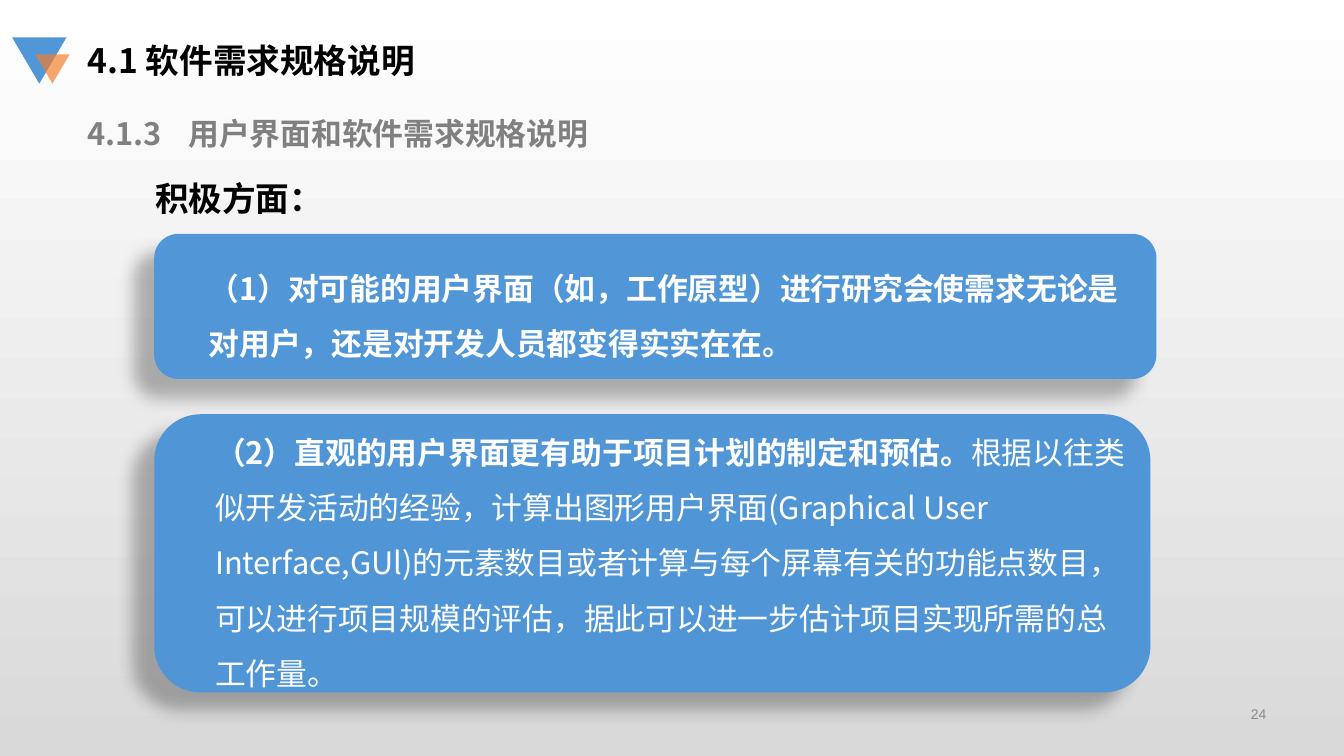
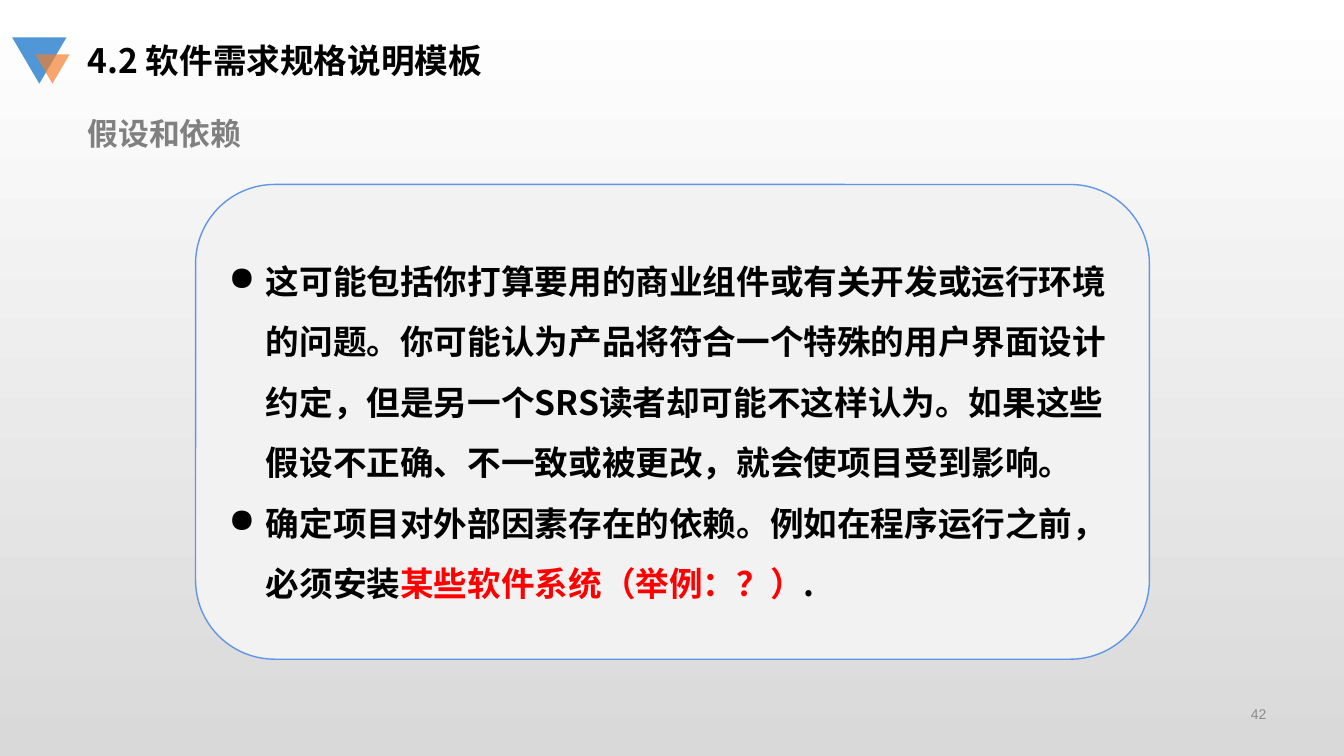
from lxml.etree import SubElement
from pptx import Presentation
from pptx.dml.color import RGBColor
from pptx.enum.lang import MSO_LANGUAGE_ID
from pptx.enum.shapes import MSO_SHAPE
from pptx.enum.text import MSO_ANCHOR, MSO_AUTO_SIZE, PP_ALIGN
from pptx.oxml.ns import qn
from pptx.util import Inches, Pt

HUES = {
    "blue": "5197D7", "deep": "5095D5", "orange": "F37D2A", "edge": "6096E6",
    "white": "FFFFFF", "pale": "F2F2F2", "mist": "D9D9D9", "gray": "808080",
    "num": "8C8C8C", "black": "000000", "red": "FF0000",
}
RGB = {name: RGBColor.from_string(code) for name, code in HUES.items()}
CJK = "Noto Sans CJK SC"
INDENT = Inches(0.37)


def write(shape, paras, size, hue, face=CJK, bold=True, anchor=MSO_ANCHOR.TOP,
          align=PP_ALIGN.LEFT, space=None, margin=0, bullet=None, tab=None):
    """Fill a shape with paragraphs, each a list of (text, format changes)."""
    frame = shape.text_frame
    look = {"word_wrap": True, "auto_size": MSO_AUTO_SIZE.NONE,
            "vertical_anchor": anchor}
    for key, value in look.items():
        setattr(frame, key, value)
    for i, runs in enumerate(paras):
        para = frame.add_paragraph() if i else frame.paragraphs[0]
        para.alignment = align
        if space:
            para.line_spacing = space
        props = para._p.get_or_add_pPr()
        props.set("marL", str(margin))
        props.set("indent", str(-margin if bullet else 0))
        if bullet:
            SubElement(props, qn("a:buChar"), char=bullet)
        if tab:
            stops = SubElement(props, qn("a:tabLst"))
            SubElement(stops, qn("a:tab"), pos=str(tab), algn="l")
        for text, change in runs:
            run = para.add_run()
            run.text = text
            style = {"name": face, "size": Pt(size), "bold": bold}
            if face == CJK:
                style["language_id"] = MSO_LANGUAGE_ID.SIMPLIFIED_CHINESE
            style.update({k: v for k, v in change.items() if k != "hue"})
            for key, value in style.items():
                setattr(run.font, key, value)
            run.font.color.rgb = RGB[change.get("hue", hue)]
            SubElement(run._r.get_or_add_rPr(), qn("a:ea"), typeface=face)


def draw(slide, kind, box, fill, line=None):
    shape = slide.shapes.add_shape(kind, *map(Inches, box))
    shape.shadow.inherit = False
    shape.fill.solid()
    shape.fill.fore_color.rgb = RGB[fill]
    if line:
        shape.line.color.rgb = RGB[line]
        shape.line.width = Pt(1)
    else:
        shape.line.fill.background()
    return shape


prs = Presentation()
prs.slide_width, prs.slide_height = Inches(13.33), Inches(7.5)

back = prs.slide_master.background.fill
back.gradient()
back.gradient_angle = 270
for stop, hue, pos in zip(back.gradient_stops, ("white", "mist"), (0, 1)):
    stop.color.rgb = RGB[hue]
    stop.position = pos

pages = [
    {
        "title": "4.1 软件需求规格说明",
        "sub": "4.1.3\t用户界面和软件需求规格说明",
        "num": "24",
        "lead": "积极方面：",
        "cards": [
            {"box": (1.53, 4.11, 9.88, 2.76), "fill": "deep", "text": [[
                ("（2）直观的用户界面更有助于项目计划的制定和预估。", {}),
                ("根据以往类似开发活动的经验，计算出图形用户界面"
                 "(Graphical User Interface,GUl)的元素数目或者计算与每个屏幕"
                 "有关的功能点数目，可以进行项目规模的评估，据此可以进一步估计"
                 "项目实现所需的总工作量。", {"bold": False}),
            ]]},
            {"box": (1.53, 2.32, 9.94, 1.44), "fill": "blue", "text": [[
                ("（1）对可能的用户界面（如，工作原型）进行研究会使需求无论是"
                 "对用户，还是对开发人员都变得实实在在。", {}),
            ]]},
        ],
        "style": {"size": 22, "hue": "white"},
        "shadow": True,
    },
    {
        "title": "4.2 软件需求规格说明模板",
        "sub": "假设和依赖",
        "num": "42",
        "cards": [
            {"box": (1.94, 1.83, 9.46, 4.71), "fill": "pale", "line": "edge",
             "text": [
                 [("这可能包括你打算要用的商业组件或有关开发或运行环境的问题。"
                   "你可能认为产品将符合一个特殊的用户界面设计约定，但是另一个"
                   "SRS读者却可能不这样认为。如果这些假设不正确、不一致或被更改，"
                   "就会使项目受到影响。", {})],
                 [("确定项目对外部因素存在的依赖。例如在程序运行之前，必须安装", {}),
                  ("某些软件系统（举例：？）", {"hue": "red"}),
                  (".", {})],
             ]},
        ],
        "style": {"size": 24, "hue": "black", "bullet": "●"},
    },
]

for page in pages:
    slide = prs.slides.add_slide(prs.slide_layouts[5])

    title = slide.shapes.title
    spot = {"left": 0.77, "top": 0.35, "width": 9.66, "height": 0.5}
    for key, value in spot.items():
        setattr(title, key, Inches(value))
    write(title, [[(page["title"], {})]], 24, "black")

    for box, hue in (((0.12, 0.37, 0.54, 0.46), "blue"),
                     ((0.35, 0.54, 0.34, 0.29), "orange")):
        mark = draw(slide, MSO_SHAPE.ISOSCELES_TRIANGLE, box, hue)
        mark.rotation = 180
    tint = mark._element.spPr.find(qn("a:solidFill"))[0]
    SubElement(tint, qn("a:alpha"), val="68000")

    for card in page["cards"]:
        shape = draw(slide, MSO_SHAPE.ROUNDED_RECTANGLE, card["box"],
                     card["fill"], card.get("line"))
        write(shape, card["text"], anchor=MSO_ANCHOR.MIDDLE, space=1.5,
              margin=INDENT, **page["style"])
        if page.get("shadow"):
            effect = shape._element.spPr.find(qn("a:effectLst"))
            shade = SubElement(effect, qn("a:outerShdw"),
                               blurRad=str(Pt(11.8)), dist=str(Pt(19.7)),
                               dir=str(141 * 60000), algn="tr", rotWithShape="0")
            ink = SubElement(shade, qn("a:srgbClr"), val=HUES["black"])
            SubElement(ink, qn("a:alpha"), val="28000")

    labels = [
        ((0.77, 1.09, 10.44, 0.47), page["sub"],
         {"size": 22, "hue": "gray",
          "tab": Inches(0.94) if "\t" in page["sub"] else None}),
        ((9.71, 6.91, 2.95, 0.35), page["num"],
         {"size": 10, "hue": "num", "face": "Arial", "bold": False,
          "anchor": MSO_ANCHOR.MIDDLE, "align": PP_ALIGN.RIGHT}),
    ]
    if "lead" in page:
        labels.append(((1.44, 1.52, 10.03, 0.56), page["lead"],
                       {"size": 24, "hue": "black", "space": 1.5}))
    for box, text, style in labels:
        label = slide.shapes.add_textbox(*map(Inches, box))
        write(label, [[(text, {})]], **style)

prs.save("out.pptx")
